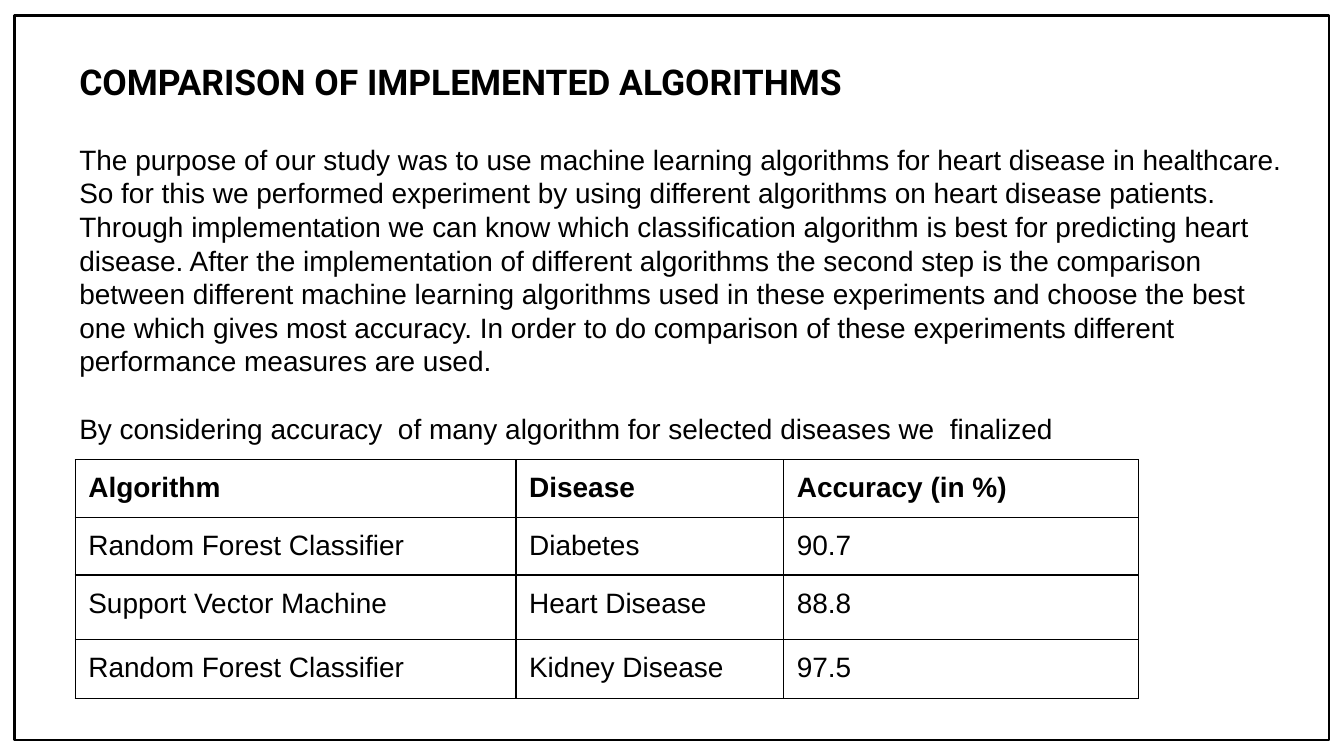
from lxml import etree
from pptx import Presentation
from pptx.dml import color
from pptx.enum import shapes, text
from pptx.oxml import ns
from pptx.util import Cm, Pt

BLACK = color.RGBColor(0, 0, 0)

# Content
TITLE = "COMPARISON OF IMPLEMENTED ALGORITHMS"
PARAGRAPHS = [
    "The purpose of our study was to use machine learning algorithms for heart disease "
    "in healthcare. So for this we performed experiment by using different algorithms on "
    "heart disease patients. Through implementation we can know which classification "
    "algorithm is best for predicting heart disease. After the implementation of different "
    "algorithms the second step is the comparison between different machine learning "
    "algorithms used in these experiments and choose the best one which gives most "
    "accuracy. In order to do comparison of these experiments different performance "
    "measures are used.",
    "By considering accuracy  of many algorithm for selected diseases we  finalized",
]
RESULTS = [
    ("Algorithm", "Disease", "Accuracy (in %)"),
    ("Random Forest Classifier", "Diabetes", "90.7"),
    ("Support Vector Machine", "Heart Disease", "88.8"),
    ("Random Forest Classifier", "Kidney Disease", "97.5"),
]
COLUMN_WIDTHS = [Cm(8.33), Cm(5.06), Cm(6.7)]
ROW_HEIGHTS = [Cm(1.09), Cm(1.09), Cm(1.22), Cm(1.12)]

# Geometry shared by the title and the body
LEFT, WIDTH = Cm(1.25), Cm(23.32)
INSET, CELL_INSET = Cm(0.25), Cm(0.24)
LINE = Pt(18)


def style(paragraph, font_name, size, bold=False):
    font = paragraph.font
    font.name, font.size, font.bold = font_name, Pt(size), bold
    font.color.rgb = BLACK


def prepare(frame):
    frame.word_wrap = True
    frame.auto_size = text.MSO_AUTO_SIZE.NONE
    frame.vertical_anchor = text.MSO_ANCHOR.TOP
    frame.margin_left = frame.margin_right = INSET
    frame.margin_top = frame.margin_bottom = INSET


def add_borders(cell, width):
    properties = cell._tc.get_or_add_tcPr()
    for side in ("lnL", "lnR", "lnT", "lnB"):
        border = etree.SubElement(properties, ns.qn(f"a:{side}"), w=str(width))
        fill = etree.SubElement(border, ns.qn("a:solidFill"))
        etree.SubElement(fill, ns.qn("a:srgbClr"), val=str(BLACK))


prs = Presentation()
prs.slide_width, prs.slide_height = Cm(25.4), Cm(14.29)
slide = prs.slides.add_slide(prs.slide_layouts[5])

# Page frame
page_frame = slide.shapes.add_shape(
    shapes.MSO_SHAPE.RECTANGLE, Cm(0.28), Cm(0.3), Cm(24.84), Cm(13.69))
page_frame.shadow.inherit = False
page_frame.fill.background()
page_frame.line.color.rgb = BLACK
page_frame.line.width = Pt(1.5)

# Title
title = slide.shapes.title
title.left, title.top, title.width, title.height = LEFT, Cm(0.88), WIDTH, Cm(1.4)
prepare(title.text_frame)
title.text_frame.text = TITLE
heading = title.text_frame.paragraphs[0]
heading.alignment = text.PP_ALIGN.LEFT
style(heading, "Roboto", 19, bold=True)

# Explanation, with one line of space between paragraphs
explanation = slide.shapes.add_textbox(LEFT, Cm(2.44), WIDTH, Cm(6.2)).text_frame
prepare(explanation)
for i, wording in enumerate(PARAGRAPHS):
    paragraph = explanation.add_paragraph() if i else explanation.paragraphs[0]
    paragraph.text = wording
    paragraph.line_spacing = LINE
    if i:
        paragraph.space_before = LINE
    style(paragraph, "Arial", 15)

# Results table
results = slide.shapes.add_table(
    len(RESULTS), len(COLUMN_WIDTHS), Cm(1.42), Cm(8.69),
    sum(COLUMN_WIDTHS), sum(ROW_HEIGHTS)).table
results.first_row = results.horz_banding = False
for column, width in zip(results.columns, COLUMN_WIDTHS):
    column.width = width
for r, (row, height, values) in enumerate(zip(results.rows, ROW_HEIGHTS, RESULTS)):
    row.height = height
    for cell, value in zip(row.cells, values):
        cell.text = value
        cell.margin_left = cell.margin_right = INSET
        cell.margin_top = cell.margin_bottom = CELL_INSET
        add_borders(cell, Pt(0.75))
        cell.fill.background()
        style(cell.text_frame.paragraphs[0], "Arial", 15, bold=r == 0)

prs.save("out.pptx")
